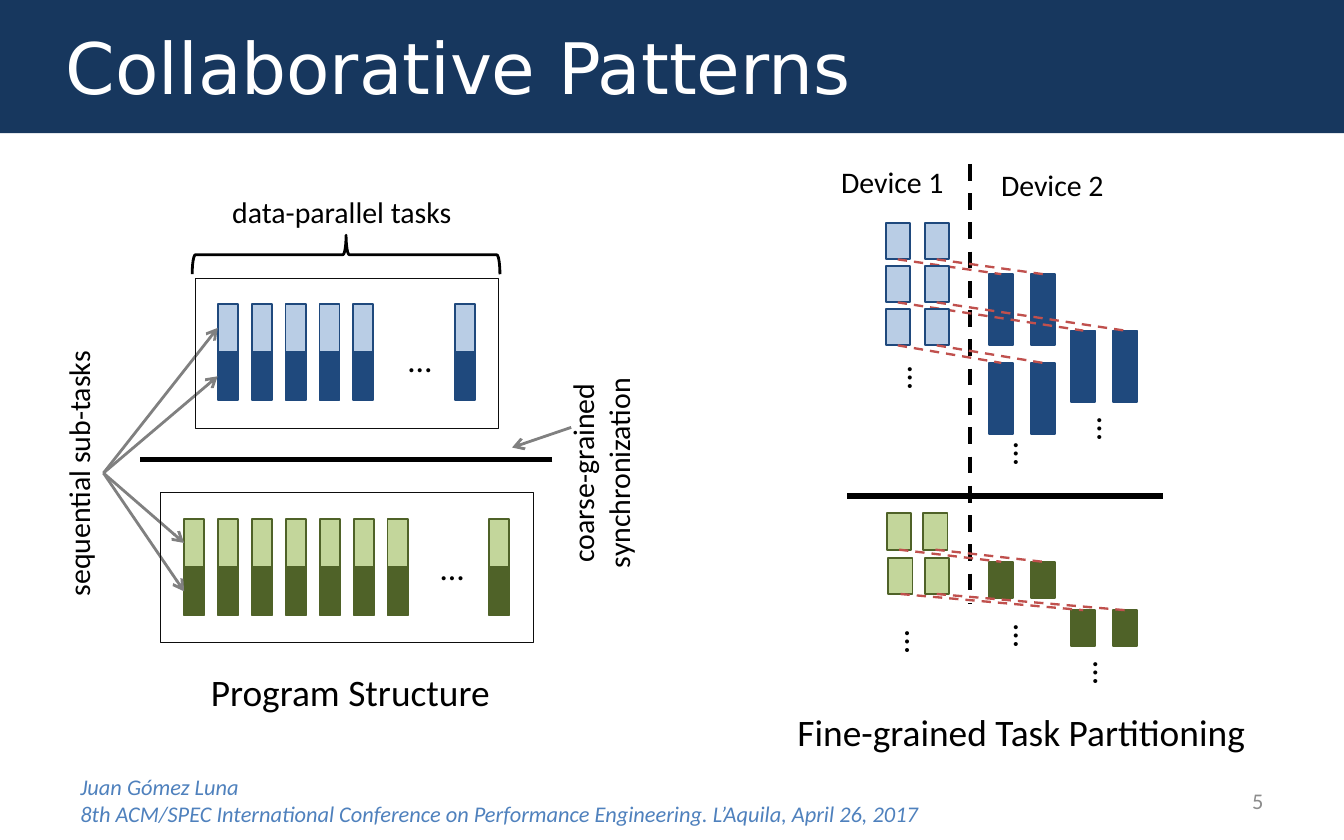
"""Build the "Collaborative Patterns" slide: program structure beside fine-grained task partitioning."""
from dataclasses import dataclass
from typing import Optional

from lxml.etree import SubElement
from pptx import Presentation
from pptx.dml.color import RGBColor
from pptx.enum.dml import MSO_LINE
from pptx.enum.shapes import MSO_CONNECTOR, MSO_SHAPE
from pptx.enum.text import MSO_ANCHOR, MSO_AUTO_SIZE, PP_ALIGN
from pptx.oxml.ns import qn
from pptx.util import Inches, Pt

COLORS = {
    "banner": "17375E", "white": "FFFFFF", "black": "000000", "frame": "0D0D0D",
    "light_blue": "B9CDE5", "dark_blue": "1F497D",
    "light_green": "C3D69B", "dark_green": "4F6228",
    "arrow": "808080", "link": "C0504D", "footer": "4F81BD", "number": "8C8C8C",
}
COLUMN_PITCH = 2.27 / 9
COLUMN_W, SUBTASK_H = 0.15, 0.36
BLOCK_W, BLOCK_H, DEVICE2_PITCH = 0.18, 0.27, 0.31
BRANCH_POINT = (0.77, 3.52)


@dataclass
class Phase:
    hue: str
    left: float
    top: float
    slots: tuple
    frame: tuple


@dataclass
class Handoff:
    hue: str
    device1: tuple
    gap: float
    device2: tuple
    height: float


@dataclass
class Label:
    text: str
    box: tuple
    size: int = 16
    rotation: int = 0
    color: str = "black"
    align: Optional[PP_ALIGN] = None
    wrap: bool = False
    italic: bool = False
    middle: bool = False


PHASES = [
    Phase("blue", 1.62, 2.26, (0, 1, 2, 3, 4, 7), (1.45, 2.07, 2.26, 1.12)),
    Phase("green", 1.37, 3.86, (0, 1, 2, 3, 4, 5, 6, 9), (1.19, 3.66, 2.78, 1.12)),
]
HANDOFFS = [
    Handoff("blue", (6.59, 1.66), 0.29, (7.36, 2.04), 0.53),
    Handoff("blue", (6.59, 1.98), 0.29, (7.97, 2.46), 0.53),
    Handoff("blue", (6.59, 2.3), 0.29, (7.36, 2.7), 0.53),
    Handoff("green", (6.6, 3.82), 0.27, (7.36, 4.18), BLOCK_H),
    Handoff("green", (6.61, 4.15), 0.27, (7.97, 4.54), BLOCK_H),
]
LABELS = [
    Label("5", (7.17, 5.79, 2.33, 0.33), 12, color="number", align=PP_ALIGN.RIGHT,
          wrap=True, middle=True),
    Label("Juan Gómez Luna\n8th ACM/SPEC International Conference on Performance "
          "Engineering. L’Aquila, April 26, 2017", (0.5, 5.79, 7.33, 0.33), 12,
          color="footer", wrap=True, italic=True, middle=True),
    Label("data-parallel tasks", (1.63, 1.39, 1.87, 0.37)),
    Label("sequential sub-tasks", (-0.44, 3.34, 2.05, 0.37), rotation=270, align=PP_ALIGN.CENTER),
    Label("coarse-grained synchronization", (3.11, 3.2, 2.72, 0.64), rotation=270,
          align=PP_ALIGN.CENTER, wrap=True),
    Label("Program Structure", (1.47, 4.93, 2.31, 0.44), 20),
    Label("Fine-grained Task Partitioning", (5.7, 5.23, 3.8, 0.44), 20,
          align=PP_ALIGN.CENTER, wrap=True),
    Label("Device 1", (6.16, 1.17, 0.98, 0.37)),
    Label("Device 2", (7.35, 1.19, 0.98, 0.37)),
]
ROW_ELLIPSES = [(2.94, 2.47), (3.18, 4.02)]
COLUMN_ELLIPSES = [(7.48, 3.2), (8.1, 3.01), (6.69, 2.63), (6.67, 4.6), (7.48, 4.55), (8.07, 4.83)]


def rgb(name: str) -> RGBColor:
    """Return a palette colour."""
    return RGBColor.from_string(COLORS[name])


def add_outline(s, kind: MSO_SHAPE, box: tuple, line: str, width: float, fill: str = ""):
    """Draw a preset shape, filled only when a fill is named."""
    sp = s.shapes.add_shape(kind, *map(Inches, box))
    sp.shadow.inherit = False
    if fill:
        sp.fill.solid()
        sp.fill.fore_color.rgb = rgb(fill)
    else:
        sp.fill.background()
    sp.line.color.rgb = rgb(line)
    sp.line.width = Pt(width)
    return sp


def add_line(s, start: tuple, end: tuple, color: str, width: float,
             dashed: bool = False, arrow: bool = False):
    """Draw a straight connector, with an optional arrowhead at its start."""
    cn = s.shapes.add_connector(MSO_CONNECTOR.STRAIGHT, *map(Inches, start + end))
    cn.line.color.rgb = rgb(color)
    cn.line.width = Pt(width)
    if dashed:
        cn.line.dash_style = MSO_LINE.DASH
    if arrow:
        SubElement(cn.line._get_or_add_ln(), qn("a:headEnd")).set("type", "arrow")
    SubElement(cn._element.spPr, qn("a:effectLst"))
    return cn


def add_run(p, text: str, font: str, size: int, color: str, italic: bool = False) -> None:
    """Add one formatted run to a paragraph."""
    r = p.add_run()
    r.text = text
    r.font.name = font
    r.font.size = Pt(size)
    r.font.italic = italic or None
    r.font.color.rgb = rgb(color)


def add_label(s, label: Label) -> None:
    """Draw a text box with one paragraph per line of text."""
    sp = s.shapes.add_textbox(*map(Inches, label.box))
    sp.rotation = label.rotation
    tf = sp.text_frame
    tf.word_wrap = label.wrap
    if label.middle:
        tf.vertical_anchor = MSO_ANCHOR.MIDDLE
    else:
        tf.auto_size = MSO_AUTO_SIZE.SHAPE_TO_FIT_TEXT
    for i, line in enumerate(label.text.split("\n")):
        p = tf.add_paragraph() if i else tf.paragraphs[0]
        p.alignment = label.align
        add_run(p, line, "Calibri", label.size, label.color, label.italic)


def add_title(s, text: str) -> None:
    """Turn the title placeholder into the banner."""
    sp = s.shapes.title
    sp.left, sp.top, sp.width, sp.height = map(Inches, (0, 0, 10, 0.99))
    sp.fill.solid()
    sp.fill.fore_color.rgb = rgb("banner")
    sp.text_frame.vertical_anchor = MSO_ANCHOR.MIDDLE
    p = sp.text_frame.paragraphs[0]
    p.alignment = PP_ALIGN.LEFT
    p._p.get_or_add_pPr().set("marL", str(Inches(0.39)))
    add_run(p, text, "DejaVu Sans", 38, "white")


def add_phase(s, phase: Phase) -> None:
    """Draw framed task columns and the arrows to the first column's sub-tasks."""
    dark = f"dark_{phase.hue}"
    for slot in phase.slots:
        x = phase.left + slot * COLUMN_PITCH
        for i, fill in enumerate((f"light_{phase.hue}", dark)):
            y = phase.top + i * SUBTASK_H
            sp = add_outline(s, MSO_SHAPE.RECTANGLE, (x, y, COLUMN_W, SUBTASK_H), dark, 1, fill)
            if slot == 0:
                cn = add_line(s, (x, y), BRANCH_POINT, "arrow", 1.5, arrow=True)
                cn.begin_connect(sp, 1)
    add_outline(s, MSO_SHAPE.RECTANGLE, phase.frame, "frame", 0.25)


def add_handoff(s, handoff: Handoff) -> None:
    """Draw a pair of blocks on each device, linked one to one."""
    (x1, y1), (x2, y2) = handoff.device1, handoff.device2
    dark, light = f"dark_{handoff.hue}", f"light_{handoff.hue}"
    for i in range(2):
        box1 = (x1 + i * handoff.gap, y1, BLOCK_W, BLOCK_H)
        box2 = (x2 + i * DEVICE2_PITCH, y2, BLOCK_W, handoff.height)
        source = add_outline(s, MSO_SHAPE.RECTANGLE, box1, dark, 1, light)
        target = add_outline(s, MSO_SHAPE.RECTANGLE, box2, dark, 1, dark)
        cn = add_line(s, box1[:2], box2[:2], "link", 1.25, dashed=True)
        cn.begin_connect(source, 2)
        cn.end_connect(target, 0)


def main() -> None:
    """Assemble and save the slide."""
    prs = Presentation()
    prs.slide_width, prs.slide_height = Inches(10), Inches(6.25)
    s = prs.slides.add_slide(prs.slide_layouts[5])
    add_title(s, "Collaborative Patterns")
    for phase in PHASES:
        add_phase(s, phase)
    brace = add_outline(s, MSO_SHAPE.RIGHT_BRACE, (2.43, 0.75, 0.29, 2.29), "black", 1.5)
    brace.rotation = 270
    add_line(s, (4.11, 3.42), (1.04, 3.42), "black", 3)
    add_line(s, (3.81, 3.33), (4.25, 3.18), "arrow", 1.5, arrow=True)
    add_line(s, (7.22, 1.22), (7.22, 4.49), "black", 2.25, dashed=True)
    add_line(s, (8.65, 3.69), (6.3, 3.69), "black", 3)
    for handoff in HANDOFFS:
        add_handoff(s, handoff)
    ellipses = [Label("…", at + (0.31, 0.3), 18) for at in ROW_ELLIPSES]
    ellipses += [Label("…", at + (0.37, 0.36), 18, 90) for at in COLUMN_ELLIPSES]
    for label in LABELS + ellipses:
        add_label(s, label)
    prs.save("out.pptx")


if __name__ == "__main__":
    main()
